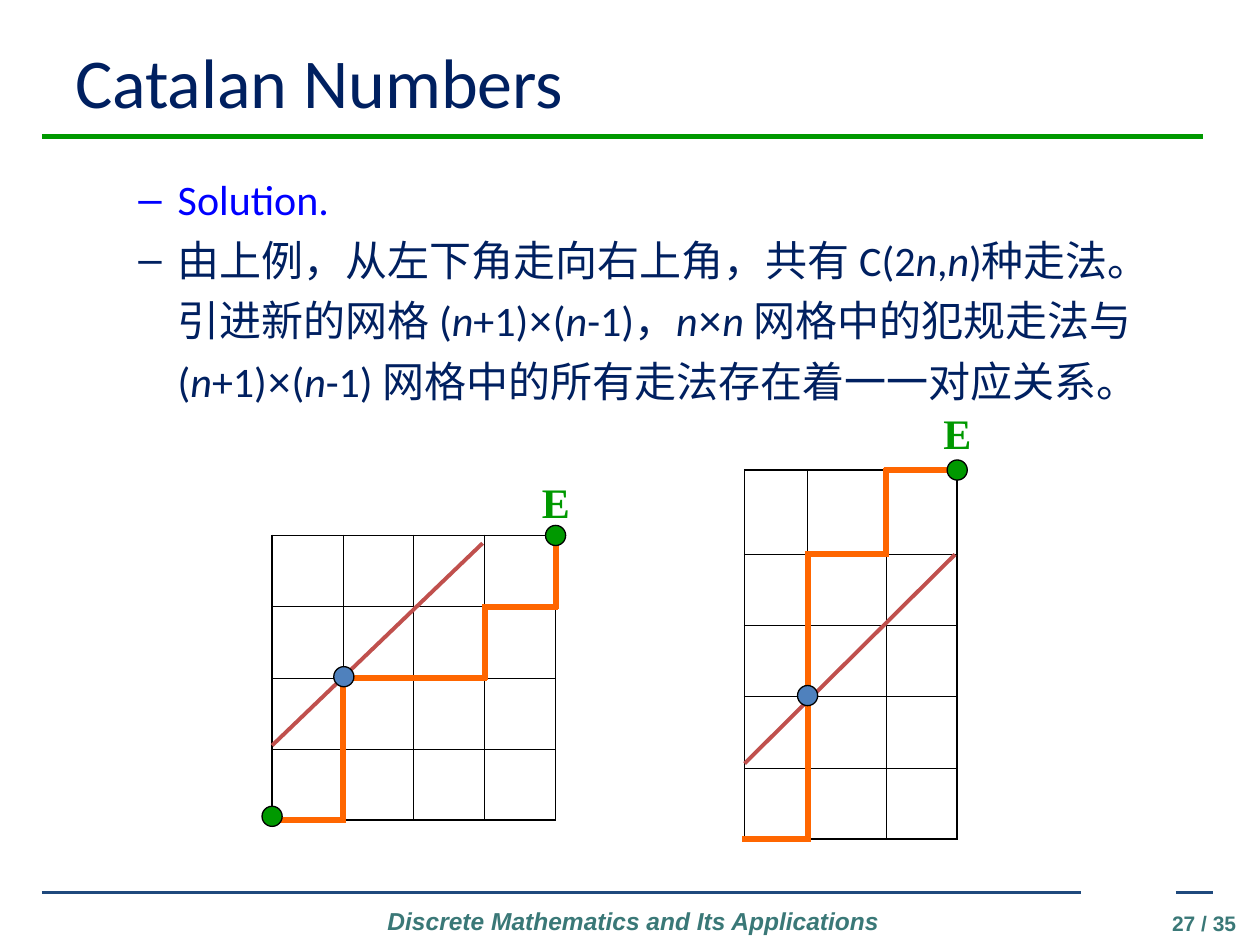
from itertools import accumulate, groupby

from pptx import Presentation
from pptx.dml.color import RGBColor as RGB
from pptx.enum.shapes import MSO_CONNECTOR as CONN, MSO_SHAPE as SHAPE
from pptx.enum.text import MSO_ANCHOR as ANCHOR, PP_ALIGN as ALIGN
from pptx.oxml.ns import qn
from pptx.util import Pt
from lxml.etree import SubElement as Sub

THEME = dict(
    navy="002060", blue="0000FF", green="009900", rule="1F497D", teal="3A7877",
    black="000000", orange="FF6600", red="C0504D", node="4F81BD",
    title=40, body=24, footer=14, number=12,
    sans="Calibri", plain="Arial", serif="Times New Roman",
    thin=0.45, edge=1.08, outline=0.75, path=3.5, diagonal=2.25, dot=11.5,
)

RULES = [
    ((24, 78), (687.5, 78), "green", 3),
    ((24, 510), (618, 510), "rule", 2.25),
    ((672, 510), (693, 510), "rule", 2.25),
]
BULLETS = [
    ("Solution.", "blue", False),
    ("由上例，从左下角走向右上角，共有 C(2n,n)种走法。"
     "引进新的网格 (n+1)×(n-1)，n×n 网格中的犯规走法与 "
     "(n+1)×(n-1) 网格中的所有走法存在着一一对应关系。", "navy", True),
]
GRIDS = [
    dict(at=(155.5, 306), cols=[40.5] * 4, rows=[40.7] * 4, moves="RUURRURU",
         diagonal=((155.5, 426), (275.8, 310.4)), label=(302.5, 268.5),
         dots=[(155.5, 466.5, "green"), (317.5, 306, "green"), (196.5, 386.7, "node")]),
    dict(at=(425.5, 268.6), cols=[36, 45, 40.5], rows=[48.2] + [40.7] * 4, moves="RUUUURUR",
         diagonal=((425.5, 436.3), (545.8, 316.8)), label=(532, 229.5),
         dots=[(547, 268.6, "green"), (461.5, 397.5, "node")]),
]


def color(name):
    return RGB.from_string(THEME[name])


def add_line(s, start, end, tint, width):
    c = s.shapes.add_connector(CONN.STRAIGHT, *map(Pt, start + end))
    c.line.color.rgb = color(tint)
    c.line.width = Pt(width)
    Sub(c._element.spPr, qn("a:effectLst"))


def add_run(p, text, size, font, tint, bold=False, italic=False):
    r = p.add_run()
    r.text = text
    r.font.size = Pt(THEME[size])
    r.font.name = THEME[font]
    r.font.color.rgb = color(tint)
    r.font.bold = bold
    r.font.italic = italic


def add_text(s, box, text="", align=ALIGN.LEFT, anchor=ANCHOR.TOP, **fmt):
    tf = s.shapes.add_textbox(*map(Pt, box)).text_frame
    tf.word_wrap = True
    tf.vertical_anchor = anchor
    p = tf.paragraphs[0]
    p.alignment = align
    if text:
        add_run(p, text, **fmt)
    return tf


def add_bullets(s, box):
    tf = add_text(s, box)
    for i, (text, tint, math) in enumerate(BULLETS):
        p = tf.add_paragraph() if i else tf.paragraphs[0]
        p.line_spacing = 1.2
        pPr = p._p.get_or_add_pPr()
        pPr.set("marL", str(Pt(58.5)))
        pPr.set("indent", str(-Pt(22.5)))
        Sub(Sub(pPr, qn("a:buClr")), qn("a:srgbClr")).set("val", THEME[tint])
        Sub(pPr, qn("a:buFont")).set("typeface", THEME["plain"])
        Sub(pPr, qn("a:buChar")).set("char", "–")
        for kind, chars in groupby(text, lambda c: c if math and c in "n×" else ""):
            add_run(p, "".join(chars), size="body", tint=tint,
                    font="plain" if kind == "×" else "sans", italic=kind == "n")


def set_borders(cell, edges):
    tcPr = cell._tc.get_or_add_tcPr()
    for side, outer in edges.items():
        ln = Sub(tcPr, qn("a:ln" + side))
        ln.set("w", str(Pt(THEME["edge" if outer else "thin"])))
        Sub(Sub(ln, qn("a:solidFill")), qn("a:srgbClr")).set("val", THEME["black"])
    cell.fill.background()


def add_grid(s, at, cols, rows):
    nc, nr = len(cols), len(rows)
    table = s.shapes.add_table(nr, nc, *map(Pt, at + (sum(cols), sum(rows)))).table
    table.first_row = table.horz_banding = False
    for col, width in zip(table.columns, cols):
        col.width = Pt(width)
    for row, height in zip(table.rows, rows):
        row.height = Pt(height)
    for i in range(nr):
        for j in range(nc):
            set_borders(table.cell(i, j), dict(L=j == 0, R=j == nc - 1, T=i == 0, B=i == nr - 1))


def add_path(s, at, cols, rows, moves):
    xs = list(accumulate(cols, initial=at[0]))
    ys = list(accumulate(rows, initial=at[1]))
    i, j, lap = 0, len(rows), 1.4
    for move in moves:
        x, y = xs[i], ys[j]
        if move == "R":
            i += 1
            start, end = (x - lap, y), (xs[i] + lap, y)
        else:
            j -= 1
            start, end = (x, y + lap), (x, ys[j] - lap)
        add_line(s, start, end, "orange", THEME["path"])


def add_dot(s, x, y, tint):
    d = THEME["dot"]
    sp = s.shapes.add_shape(SHAPE.OVAL, *map(Pt, (x - d / 2, y - d / 2, d, d)))
    sp.shadow.inherit = False
    sp.fill.solid()
    sp.fill.fore_color.rgb = color(tint)
    sp.line.color.rgb = color("black")
    sp.line.width = Pt(THEME["outline"])


def main():
    prs = Presentation()
    prs.slide_width, prs.slide_height = Pt(720), Pt(540)
    s = prs.slides.add_slide(prs.slide_layouts[6])
    for rule in RULES:
        add_line(s, *rule)
    add_text(s, (204, 514, 316, 24.5), "Discrete Mathematics and Its Applications",
             align=ALIGN.CENTER, size="footer", font="plain", tint="teal", bold=True, italic=True)
    add_text(s, (640, 517, 73.5, 17.5), "27 / 35",
             align=ALIGN.RIGHT, size="number", font="plain", tint="teal", bold=True)
    add_text(s, (36, 18, 648, 55.5), "Catalan Numbers",
             anchor=ANCHOR.MIDDLE, size="title", font="sans", tint="navy")
    add_bullets(s, (36, 90, 648, 180))
    for g in GRIDS:
        shape = g["at"], g["cols"], g["rows"]
        add_grid(s, *shape)
        add_line(s, *g["diagonal"], "red", THEME["diagonal"])
        add_path(s, *shape, g["moves"])
        add_text(s, g["label"] + (29, 36), "E", size="body", font="serif", tint="green", bold=True)
        for dot in g["dots"]:
            add_dot(s, *dot)
    prs.save("out.pptx")


if __name__ == "__main__":
    main()
